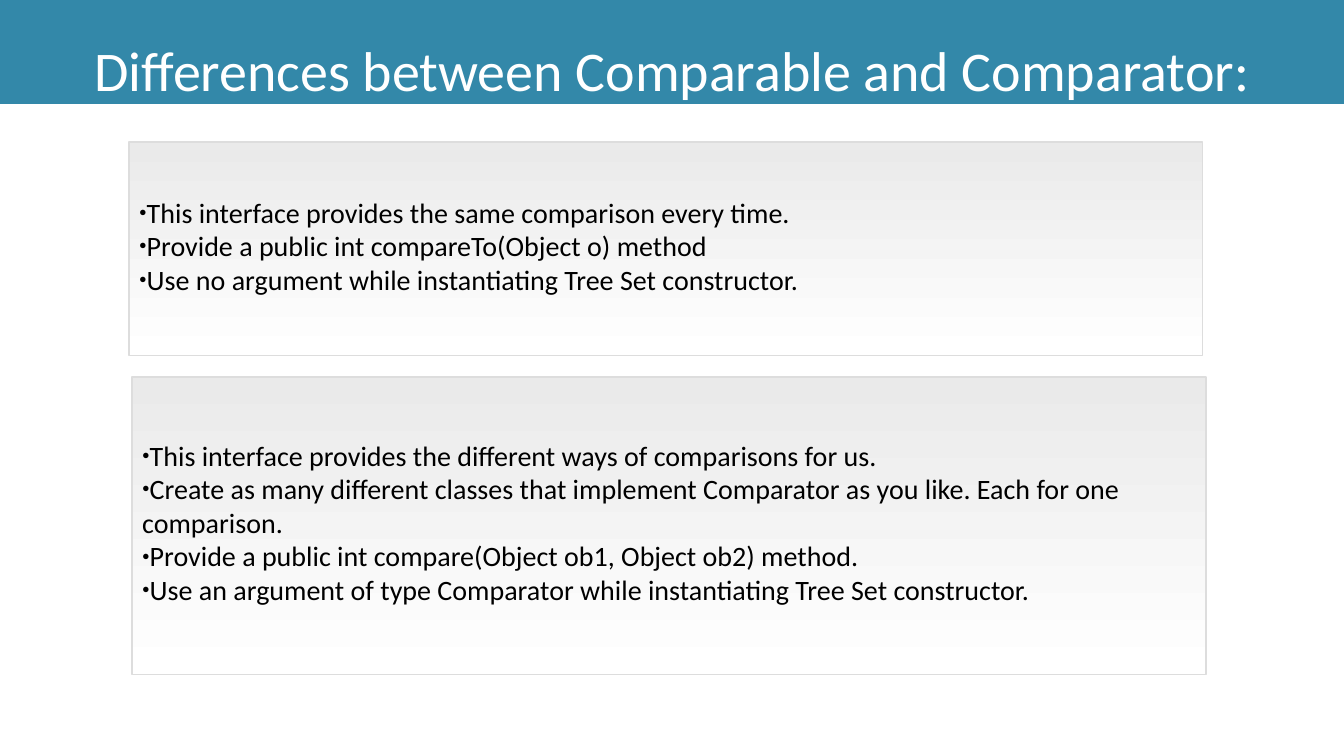
import pptx
import pptx.dml.color
import pptx.enum.text
import pptx.util
import lxml.etree
from pptx.util import Inches


def color(hex_value):
    return pptx.dml.color.RGBColor.from_string(hex_value)


class ComparisonSlide:
    font_name = "Calibri"
    banner_color = "3388A9"
    panel_gradient = ("EAEAEA", "FFFFFF")
    panel_border = "DDDDDD"

    def __init__(self, presentation):
        self.slide = presentation.slides.add_slide(presentation.slide_layouts[3])

    def place(self, placeholder, box, vertical_inset):
        placeholder.left, placeholder.top, placeholder.width, placeholder.height = map(Inches, box)
        frame = placeholder.text_frame
        frame.word_wrap = True
        frame.auto_size = pptx.enum.text.MSO_AUTO_SIZE.NONE
        frame.vertical_anchor = pptx.enum.text.MSO_ANCHOR.MIDDLE
        frame.margin_left = frame.margin_right = Inches(0.1)
        frame.margin_top = frame.margin_bottom = Inches(vertical_inset)
        return frame

    def style(self, paragraph, size, hex_value):
        paragraph.font.name = self.font_name
        paragraph.font.size = pptx.util.Pt(size)
        paragraph.font.color.rgb = color(hex_value)

    def banner(self, heading, box):
        title = self.slide.shapes.title
        title.fill.solid()
        title.fill.fore_color.rgb = color(self.banner_color)
        frame = self.place(title, box, 0.05)
        frame.text = heading
        paragraph = frame.paragraphs[0]
        paragraph.alignment = pptx.enum.text.PP_ALIGN.CENTER
        paragraph.line_spacing = 1.5
        self.style(paragraph, 40, "FFFFFF")

    def bullet(self, paragraph):
        properties = paragraph._p.get_or_add_pPr()
        properties.set("marL", "0")
        properties.set("indent", "0")
        for tag, name, value in (
            ("a:buSzPct", "val", "45000"),
            ("a:buFont", "typeface", "Arial"),
            ("a:buChar", "char", "●"),
        ):
            lxml.etree.SubElement(properties, pptx.oxml.ns.qn(tag)).set(name, value)

    def panel(self, index, points, box):
        panel = self.slide.placeholders[index]
        panel.fill.gradient()
        panel.fill.gradient_angle = 270
        for stop, shade in zip(panel.fill.gradient_stops, self.panel_gradient):
            stop.color.rgb = color(shade)
        panel.line.color.rgb = color(self.panel_border)
        panel.line.width = pptx.util.Pt(1)
        frame = self.place(panel, box, 0.1)
        frame.margin_bottom = Inches(0.17)
        frame.text = "\n".join(points)
        for paragraph in frame.paragraphs:
            paragraph.space_before = pptx.util.Pt(0)
            self.bullet(paragraph)
            self.style(paragraph, 20, "000000")


presentation = pptx.Presentation()
presentation.slide_width = Inches(13.33)
presentation.slide_height = Inches(7.5)

comparison = ComparisonSlide(presentation)
comparison.banner("Differences between Comparable and Comparator:", (0, 0, 13.33, 1.03))

comparable_points = [
    "This interface provides the same comparison every time.",
    "Provide a public int compareTo(Object o) method",
    "Use no argument while instantiating Tree Set constructor.",
]
comparator_points = [
    "This interface provides the different ways of comparisons for us.",
    "Create as many different classes that implement Comparator as you like. Each for one comparison.",
    "Provide a public int compare(Object ob1, Object ob2) method.",
    "Use an argument of type Comparator while instantiating Tree Set constructor.",
]
comparison.panel(1, comparable_points, (1.28, 1.41, 10.65, 2.12))
comparison.panel(2, comparator_points, (1.31, 3.74, 10.65, 2.95))

presentation.save("out.pptx")
